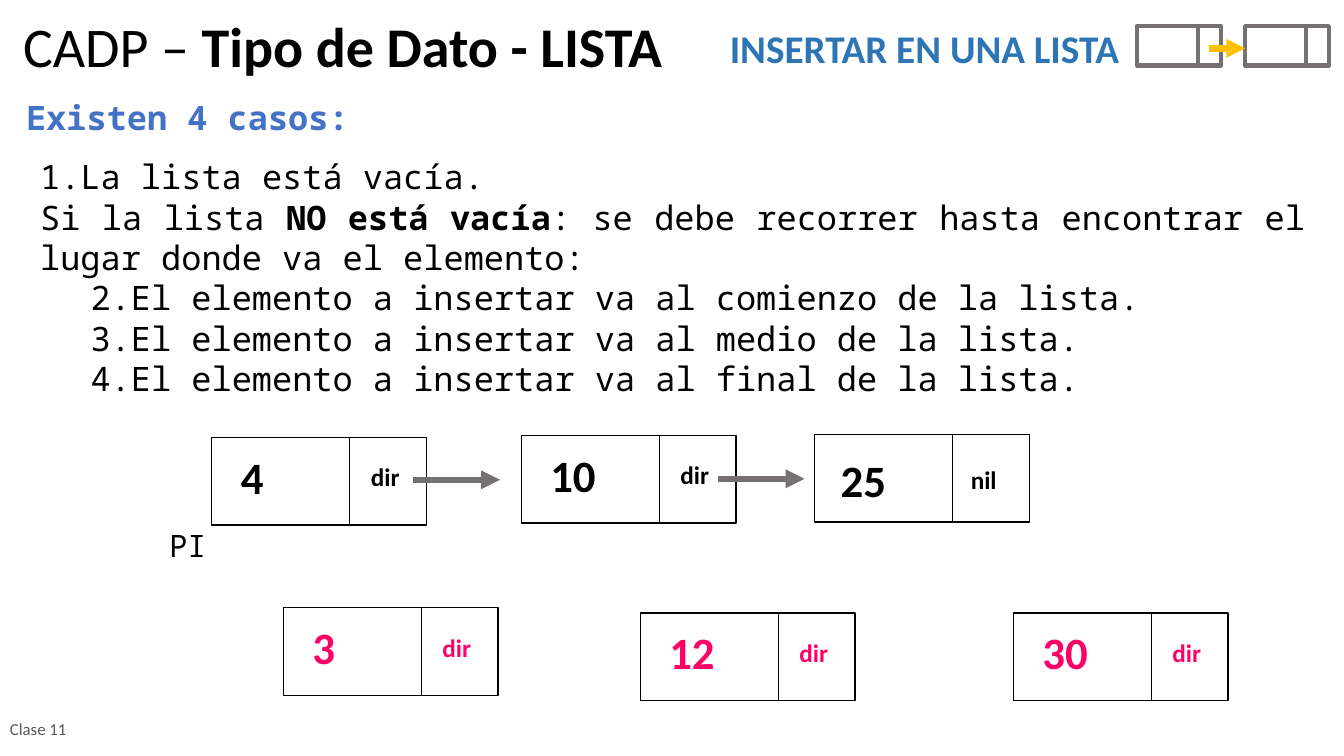
from pptx import Presentation
from pptx.dml.color import RGBColor
from pptx.enum.shapes import MSO_CONNECTOR as Connector, MSO_SHAPE as Shape
from pptx.enum.text import MSO_ANCHOR as Anchor, PP_ALIGN as Align
from pptx.oxml.ns import qn
from pptx.util import Inches, Pt
from lxml.etree import SubElement

THEME = {
    "sans": "Calibri", "mono": "Noto Sans Mono",
    "black": "000000", "gray": "767171", "footer": "595959", "gold": "FFC000",
    "heading": "2E75B6", "intro": "4472C4", "new": "FF0066",
    "title_size": 40, "heading_size": 28, "body_size": 24, "value_size": 32,
    "link_size": 18, "pointer_size": 22, "footer_size": 12,
    "icon_line": 3, "arrow_line": 4.5, "box_line": 1, "divider_line": 0.5,
}

TITLE = [("CADP – ", False), ("Tipo de Dato - LISTA", True)]
HEADING = [("INSERTAR EN UNA LISTA", True)]
INTRO = [("Existen 4 casos:", True)]
CASES = [
    (0, [("1.La lista está vacía.", False)]),
    (0, [("Si la lista ", False), ("NO está vacía", True),
         (": se debe recorrer hasta encontrar el lugar donde va el elemento:", False)]),
    (1, [("2.El elemento a insertar va al comienzo de la lista.", False)]),
    (1, [("3.El elemento a insertar va al medio de la lista.", False)]),
    (1, [("4.El elemento a insertar va al final de la lista.", False)]),
]
POINTER = [("PI", False)]
FOOTER = [("Clase 11", False)]

NODES = [
    (2.1, 4.34, "4", "dir", "black", (0, 0)),
    (5.17, 4.32, "10", "dir", "black", (0, 0)),
    (8.08, 4.31, "25", "nil", "black", (-0.03, 0.06)),
    (2.81, 6.03, "3", "dir", "new", (0, 0)),
    (6.35, 6.08, "12", "dir", "new", (0, 0)),
    (10.05, 6.08, "30", "dir", "new", (0, 0)),
]
NODE_SIZE, NODE_DIVIDER = (2.13, 0.87), 1.37
ICON_SIZE, ICON_DIVIDER, ICON_TOP = (0.83, 0.39), 0.6, 0.26
ICON_LEFTS = [11.28, 12.35]
LINKS = [(4.1, 4.76), (7.12, 4.75)]
LINK_LENGTH = 0.86


def color(name):
    return RGBColor.from_string(THEME[name])


def add_text(shapes, box, paragraphs, size, font="sans", ink="black",
             align=Align.LEFT, wrap=True, anchor=Anchor.TOP, spacing=None):
    frame = shapes.add_textbox(*map(Inches, box)).text_frame
    for name, value in {"word_wrap": wrap, "vertical_anchor": anchor}.items():
        setattr(frame, name, value)
    for index, (level, runs) in enumerate(paragraphs):
        paragraph = frame.add_paragraph() if index else frame.paragraphs[0]
        for name, value in {"alignment": align, "level": level, "line_spacing": spacing}.items():
            setattr(paragraph, name, value)
        if level:
            properties = paragraph._p.get_or_add_pPr()
            properties.set("marL", str(Inches(0.5 * level)))
            properties.set("indent", "0")
        for text, bold in runs:
            run = paragraph.add_run()
            run.text = text
            style = {"name": THEME[font], "size": Pt(THEME[size]), "bold": bold}
            for name, value in style.items():
                setattr(run.font, name, value)
            run.font.color.rgb = color(ink)


def add_line(shapes, start, end, ink, width, arrow=False):
    line = shapes.add_connector(Connector.STRAIGHT, *map(Inches, start + end))
    line.line.color.rgb = color(ink)
    line.line.width = Pt(THEME[width])
    if arrow:
        SubElement(line.line._get_or_add_ln(), qn("a:tailEnd"), type="triangle")
    SubElement(line._element.spPr, qn("a:effectLst"))


def add_cell_box(shapes, left, top, size, divider, ink, width, divider_width):
    box = shapes.add_shape(Shape.RECTANGLE, *map(Inches, (left, top) + size))
    box.shadow.inherit = False
    box.fill.background()
    box.line.color.rgb = color(ink)
    box.line.width = Pt(THEME[width])
    middle = left + divider
    add_line(shapes, (middle, top), (middle, top + size[1]), ink, divider_width)


def add_node(shapes, left, top, value, link, ink, shift):
    group = shapes.add_group_shape().shapes
    add_cell_box(group, left, top, NODE_SIZE, NODE_DIVIDER, "black", "box_line", "divider_line")
    x, y = left + shift[0], top + shift[1]
    value_width = 0.2 + 0.23 * len(value)
    add_text(group, (x + 0.19, y + 0.07, value_width, 0.64), [(0, [(value, True)])],
             "value_size", ink=ink, wrap=False)
    add_text(group, (x + 1.48, y + 0.19, 0.49, 0.4), [(0, [(link, True)])],
             "link_size", ink=ink, wrap=False)


def main():
    presentation = Presentation()
    presentation.slide_width, presentation.slide_height = Inches(13.33), Inches(7.5)
    slide = presentation.slides.add_slide(presentation.slide_layouts[6])
    shapes = slide.shapes

    add_text(shapes, (0.13, 0.14, 9.28, 0.76), [(0, TITLE)], "title_size", spacing=0.9)
    add_text(shapes, (0, 7.02, 1.07, 0.43), [(0, FOOTER)], "footer_size",
             ink="footer", anchor=Anchor.MIDDLE)

    icon = shapes.add_group_shape().shapes
    for left in ICON_LEFTS:
        add_cell_box(icon, left, ICON_TOP, ICON_SIZE, ICON_DIVIDER, "gray", "icon_line", "icon_line")
    add_line(icon, (11.99, 0.48), (12.35, 0.48), "gold", "arrow_line", arrow=True)

    add_text(shapes, (7.14, 0.19, 4.88, 0.57), [(0, HEADING)], "heading_size",
             ink="heading", align=Align.JUSTIFY)
    add_text(shapes, (0.16, 0.91, 4.73, 0.51), [(0, INTRO)], "body_size",
             font="mono", ink="intro", align=Align.JUSTIFY)
    add_text(shapes, (0.3, 1.5, 12.74, 2.52), CASES, "body_size",
             font="mono", align=Align.JUSTIFY)
    add_text(shapes, (1.58, 5.18, 0.94, 0.47), [(0, POINTER)], "pointer_size", font="mono")

    for node in NODES:
        add_node(shapes, *node)
    for left, top in LINKS:
        add_line(shapes, (left, top), (left + LINK_LENGTH, top), "gray", "arrow_line", arrow=True)

    presentation.save("out.pptx")


if __name__ == "__main__":
    main()
